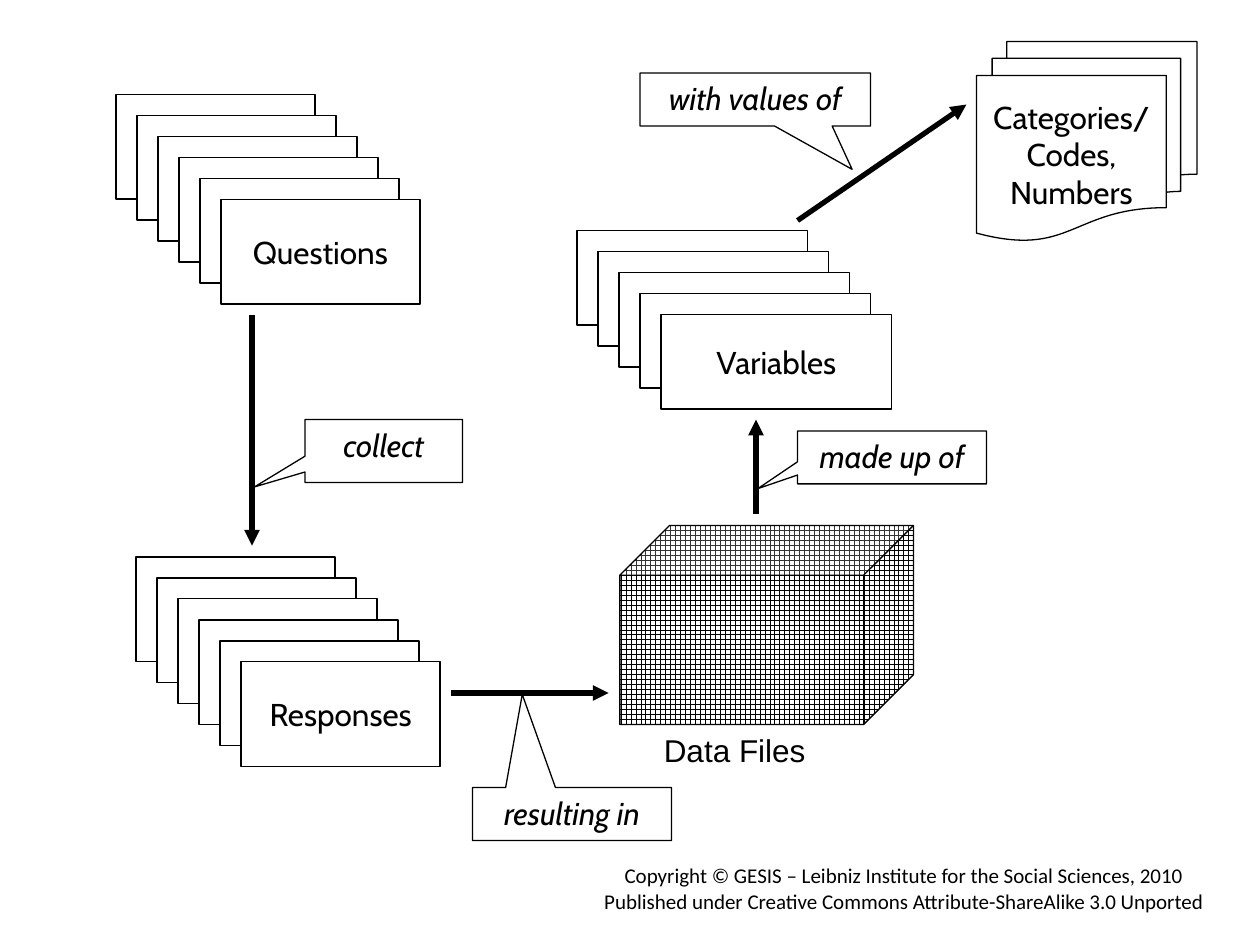
from lxml import etree
from pptx import Presentation
from pptx.dml.color import RGBColor
from pptx.enum.dml import MSO_PATTERN
from pptx.enum.shapes import MSO_CONNECTOR, MSO_SHAPE
from pptx.enum.text import MSO_ANCHOR, PP_ALIGN
from pptx.oxml.ns import qn
from pptx.util import Inches, Pt

RECTANGLE = MSO_SHAPE.RECTANGLE
CALLOUT = MSO_SHAPE.RECTANGULAR_CALLOUT
DOCUMENTS = MSO_SHAPE.FLOWCHART_MULTIDOCUMENT
CUBE = MSO_SHAPE.CUBE
GRID = MSO_PATTERN.LARGE_GRID
STRAIGHT = MSO_CONNECTOR.STRAIGHT
TOP, MIDDLE = MSO_ANCHOR.TOP, MSO_ANCHOR.MIDDLE
LEFT, CENTER = PP_ALIGN.LEFT, PP_ALIGN.CENTER

BLACK, WHITE = "000000", "FFFFFF"
STEP = 1 / 6

STACKS = [
    ("Questions", 6, (0.92, 0.75, 1.58, 0.83)),
    ("Responses", 6, (1.08, 4.42, 1.58, 0.83)),
    ("Variables", 5, (4.58, 1.83, 1.83, 0.75)),
]
DATA_CUBE = (4.92, 4.17, 2.33, 1.58)
DATA_LABEL = ("Data Files", (5.17, 5.75, 1.67, 0.4))
CATEGORIES = (["Categories/", "Codes,", "Numbers"], (7.75, 0.33, 1.75, 1.58))
ARROWS = [
    ((2, 2.5), (2, 4.33)),
    ((3.58, 5.5), (4.83, 5.5)),
    ((6, 4.08), (6, 3.33)),
    ((6.33, 1.75), (7.67, 0.83)),
]
CALLOUTS = [
    ("collect", (2.42, 3.33, 1.25, 0.5), (-0.82, 0.57)),
    ("resulting in", (3.75, 6.25, 1.58, 0.42), (-0.25, -2.26)),
    ("made up of", (6.33, 3.42, 1.5, 0.42), (-0.71, 0.59)),
    ("with values of", (5.08, 0.58, 1.83, 0.42), (0.42, 1.32)),
]
COPYRIGHT = (
    [
        "Copyright © GESIS – Leibniz Institute for the Social Sciences, 2010",
        "Published under Creative Commons Attribute-ShareAlike 3.0 Unported",
    ],
    (4.67, 6.8, 5.01, 0.5),
)


def color(value):
    """Turn a hex string into a colour."""
    return RGBColor.from_string(value)


def write(box, lines, font="Cabin", size=18, italic=False, align=CENTER, anchor=MIDDLE, wrap=False):
    """Fill a box with one formatted paragraph per line."""
    frame = box.text_frame
    frame.word_wrap = wrap
    frame.vertical_anchor = anchor
    for index, line in enumerate(lines):
        para = frame.add_paragraph() if index else frame.paragraphs[0]
        para.alignment = align
        span = para.add_run()
        span.text = line
        span.font.name = font
        span.font.size = Pt(size)
        span.font.italic = italic
        span.font.color.rgb = color(BLACK)


def add_box(page, kind, area):
    """Add a white shape with a thin black outline."""
    box = page.shapes.add_shape(kind, *map(Inches, area))
    box.shadow.inherit = False
    box.fill.solid()
    box.fill.fore_color.rgb = color(WHITE)
    box.line.color.rgb = color(BLACK)
    box.line.width = Pt(0.75)
    return box


def add_stack(page, label, count, area):
    """Add overlapping cards, the front one labelled."""
    left, top, width, height = area
    for index in range(count):
        shift = index * STEP
        card = add_box(page, RECTANGLE, (left + shift, top + shift, width, height))
    write(card, [label])


def add_arrow(page, start, end):
    """Add a thick arrow pointing at its end."""
    arrow = page.shapes.add_connector(STRAIGHT, *map(Inches, start + end))
    arrow.line.color.rgb = color(BLACK)
    arrow.line.width = Pt(3)
    outline = arrow.line._get_or_add_ln()
    etree.SubElement(outline, qn("a:tailEnd"), type="triangle")
    etree.SubElement(outline.getparent(), qn("a:effectLst"))


def add_callout(page, label, area, tip):
    """Add a callout whose tip is given relative to its size."""
    callout = add_box(page, CALLOUT, area)
    for index, value in enumerate(tip):
        callout.adjustments[index] = value
    write(callout, [label], italic=True, anchor=TOP, wrap=True)


def add_label(page, lines, area, **style):
    """Add a plain text box."""
    box = page.shapes.add_textbox(*map(Inches, area))
    write(box, lines, anchor=TOP, **style)


def main():
    """Build the data life cycle diagram."""
    deck = Presentation()
    deck.slide_width, deck.slide_height = Inches(10), Inches(7.5)
    page = deck.slides.add_slide(deck.slide_layouts[6])

    for stack in STACKS:
        add_stack(page, *stack)

    cube = add_box(page, CUBE, DATA_CUBE)
    cube.adjustments[0] = 0.25
    cube.fill.patterned()
    cube.fill.pattern = GRID
    cube.fill.fore_color.rgb = color(BLACK)
    cube.fill.back_color.rgb = color(WHITE)
    label, area = DATA_LABEL
    add_label(page, [label], area, font="Arial", align=LEFT, wrap=True)

    lines, area = CATEGORIES
    write(add_box(page, DOCUMENTS, area), lines)

    for arrow in ARROWS:
        add_arrow(page, *arrow)
    for callout in CALLOUTS:
        add_callout(page, *callout)

    add_label(page, *COPYRIGHT, font="Calibri", size=12)
    deck.save("out.pptx")


if __name__ == "__main__":
    main()
